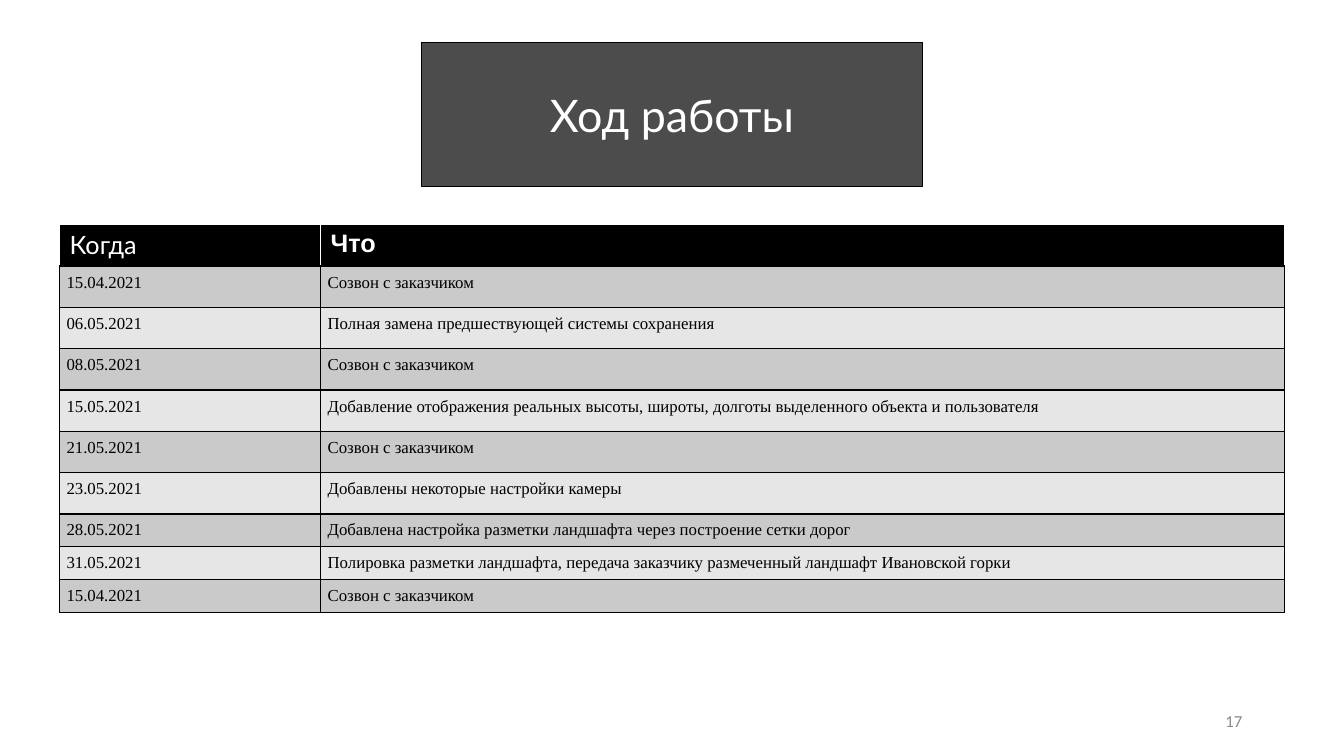
from lxml import etree
from pptx import Presentation
from pptx import util as u
from pptx.dml.color import RGBColor
from pptx.enum import text
from pptx.oxml.ns import qn

W, H = 13.33, 7.5
COLORS = {"black": "000000", "white": "FFFFFF", "odd": "CACACA",
          "even": "E6E6E6", "number": "888888"}
CALL = "Созвон с заказчиком"
HEADER = [("Когда", "Lato", False), ("Что", "Arial", True)]
STEPS = [
    ("15.04.2021", CALL),
    ("06.05.2021", "Полная замена предшествующей системы сохранения"),
    ("08.05.2021", CALL),
    ("15.05.2021", "Добавление отображения реальных высоты, широты, долготы "
                   "выделенного объекта и пользователя"),
    ("21.05.2021", CALL),
    ("23.05.2021", "Добавлены некоторые настройки камеры"),
    ("28.05.2021", "Добавлена настройка разметки ландшафта через построение сетки дорог"),
    ("31.05.2021", "Полировка разметки ландшафта, передача заказчику "
                   "размеченный ландшафт Ивановской горки"),
    ("15.04.2021", CALL),
]
TALL, SHORT, SHORT_ROWS = 0.41, 0.32, 3


def rgb(name):
    return RGBColor.from_string(COLORS[name])


def write(tf, words, font, size, color, align, bold=False):
    tf.text = words
    p = tf.paragraphs[0]
    p.alignment = align
    f = p.runs[0].font
    f.name, f.size, f.bold = font, u.Pt(size), bold
    f.color.rgb = rgb(color)
    return p


def place(sp, box):
    sp.left, sp.top, sp.width, sp.height = map(u.Inches, box)


def add_title(s, box, words):
    sp = s.shapes.title
    place(sp, box)
    sp.fill.solid()
    sp.fill.fore_color.rgb = rgb("black")
    # 70 % opaque fill
    fill_color = sp._element.spPr.find(qn("a:solidFill"))[0]
    etree.SubElement(fill_color, qn("a:alpha"), val="70000")
    sp.line.color.rgb = rgb("black")
    sp.line.width = u.Pt(1)
    tf = sp.text_frame
    tf.auto_size = text.MSO_AUTO_SIZE.NONE
    tf.vertical_anchor = text.MSO_ANCHOR.MIDDLE
    write(tf, words, "Lato", 32, "white", text.PP_ALIGN.CENTER)


def style_cell(cell, fill, margins, borders):
    cell.fill.solid()
    cell.fill.fore_color.rgb = rgb(fill)
    (cell.margin_left, cell.margin_top,
     cell.margin_right, cell.margin_bottom) = map(u.Inches, margins)
    # Border lines come before the fill, in the order left, right, top, bottom
    tcPr = cell._tc.get_or_add_tcPr()
    for i, (side, color) in enumerate(zip("LRTB", borders)):
        ln = etree.Element(qn(f"a:ln{side}"), w=str(u.Pt(1)))
        solid = etree.SubElement(ln, qn("a:solidFill"))
        etree.SubElement(solid, qn("a:srgbClr"), val=COLORS[color])
        tcPr.insert(i, ln)


def add_schedule(s, left, top, widths):
    heights = [TALL] * (len(STEPS) + 1 - SHORT_ROWS) + [SHORT] * SHORT_ROWS
    box = (left, top, sum(widths), sum(heights))
    table = s.shapes.add_table(len(heights), len(widths), *map(u.Inches, box)).table
    for col, width in zip(table.columns, widths):
        col.width = u.Inches(width)
    for row, height in zip(table.rows, heights):
        row.height = u.Inches(height)

    # Header row
    for c, (words, font, bold) in enumerate(HEADER):
        cell = table.cell(0, c)
        style_cell(cell, "black", (0.1, 0.05, 0.1, 0.05), ["white"] * 3 + ["black"])
        write(cell.text_frame, words, font, 18, "white", text.PP_ALIGN.LEFT, bold)

    # Dated steps in alternating bands
    for r, step in enumerate(STEPS, 1):
        for c, words in enumerate(step):
            cell = table.cell(r, c)
            style_cell(cell, "odd" if r % 2 else "even", [0.07] * 4, ["black"] * 4)
            p = write(cell.text_frame, words, "Times New Roman", 12, "black",
                      text.PP_ALIGN.JUSTIFY)
            p.space_after = u.Pt(10)


def add_number(s, box, words):
    tf = s.shapes.add_textbox(*map(u.Inches, box)).text_frame
    tf.word_wrap = True
    tf.vertical_anchor = text.MSO_ANCHOR.MIDDLE
    write(tf, words, "Calibri", 12, "number", text.PP_ALIGN.RIGHT)


def main():
    prs = Presentation()
    prs.slide_width, prs.slide_height = u.Inches(W), u.Inches(H)
    s = prs.slides.add_slide(prs.slide_layouts[5])
    title_width = 4.97
    add_title(s, ((W - title_width) / 2, 0.42, title_width, 1.43), "Ход работы")
    add_schedule(s, 0.59, 2.23, (2.59, 9.56))
    add_number(s, (9.42, 6.95, 3, 0.4), "17")
    prs.save("out.pptx")


if __name__ == "__main__":
    main()
